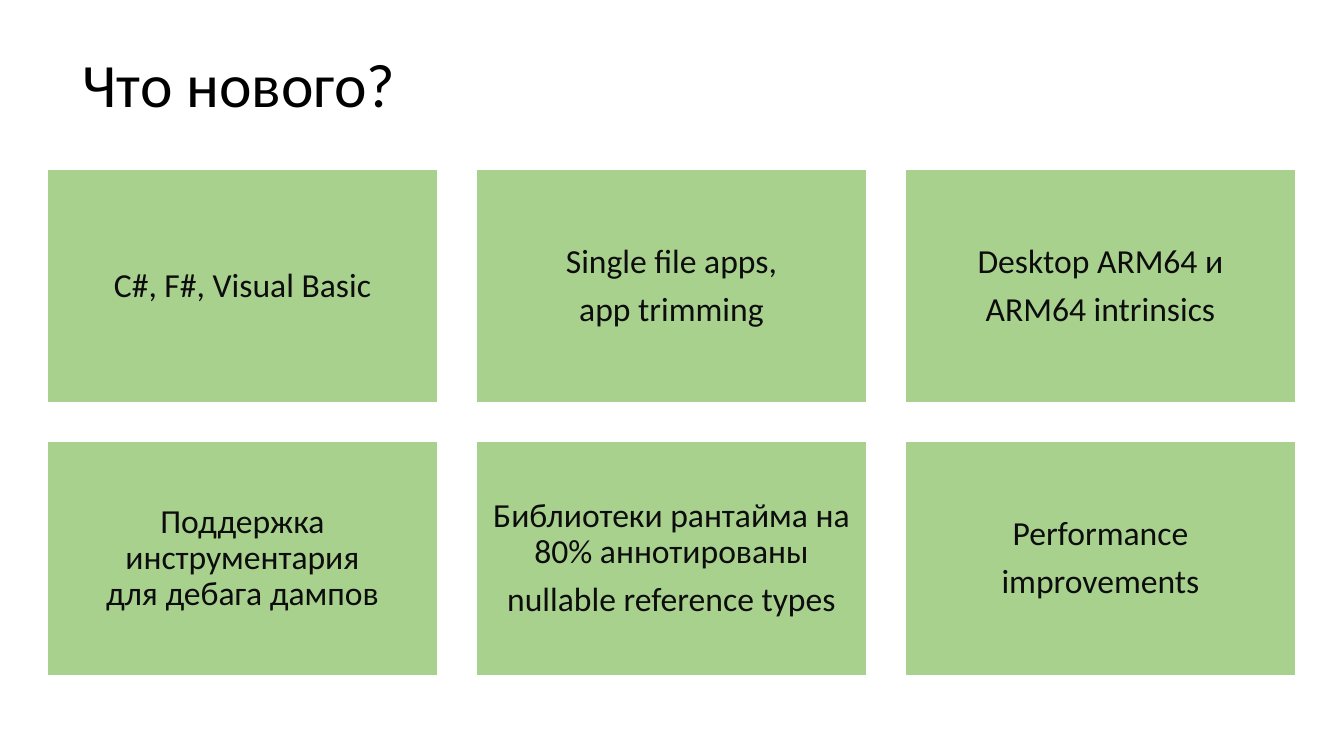
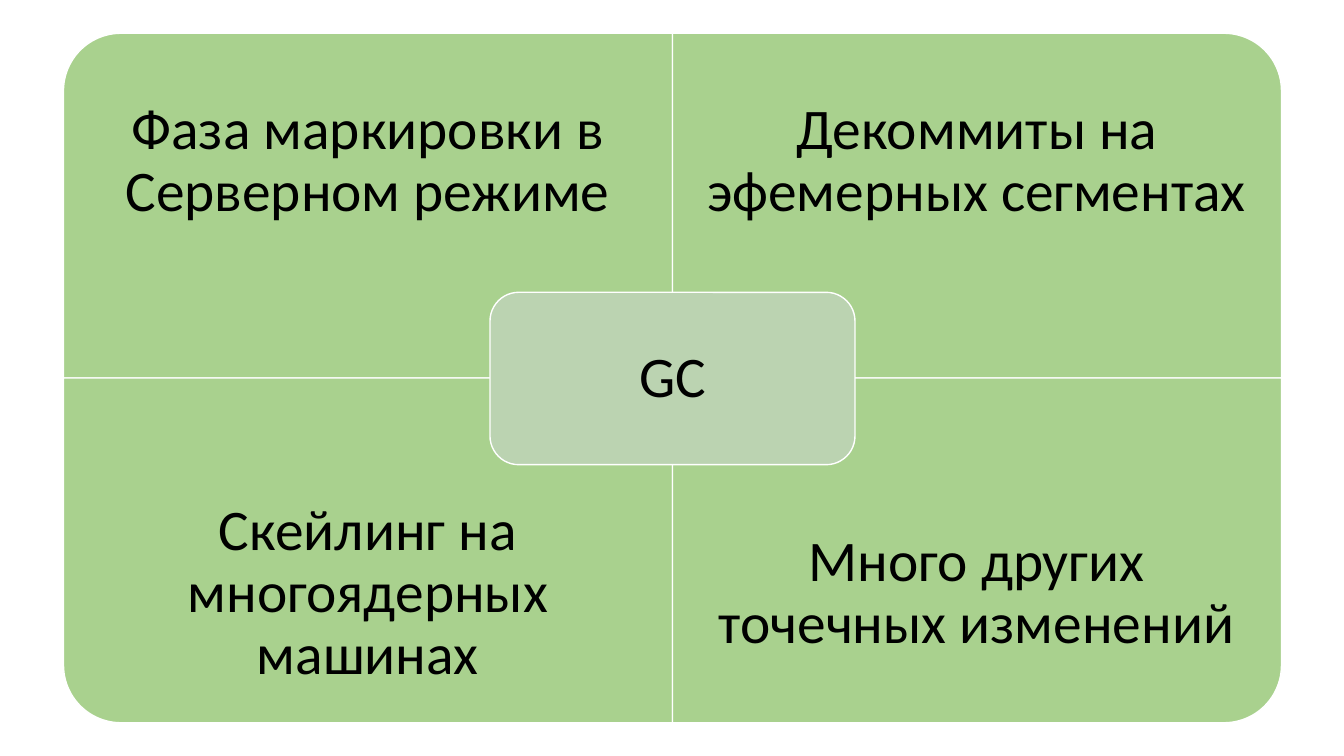
from dataclasses import dataclass

import pptx
import pptx.dml.color
import pptx.enum.shapes
import pptx.enum.text
import pptx.util

Inches = pptx.util.Inches
Pt = pptx.util.Pt
RGBColor = pptx.dml.color.RGBColor
SHAPE = pptx.enum.shapes.MSO_SHAPE
ALIGN = pptx.enum.text.PP_ALIGN

# Shared style
FONT = "Calibri"
BLACK = RGBColor(0x00, 0x00, 0x00)
DARK = RGBColor(0x0D, 0x0D, 0x0D)
WHITE = RGBColor(0xFF, 0xFF, 0xFF)
GREEN = RGBColor(0xA9, 0xD1, 0x8E)
SAGE = RGBColor(0xBB, 0xD3, 0xB1)
TITLE_ONLY, BLANK = 5, 6


@dataclass(frozen=True)
class Box:
    left: float
    top: float
    width: float
    height: float

    def emu(self) -> tuple:
        return tuple(Inches(v) for v in (self.left, self.top, self.width, self.height))


@dataclass(frozen=True)
class Quarter:
    text: str
    row: int
    col: int
    rotation: int


# A line feed starts a paragraph, a vertical tab breaks a line
CARDS = [
    "С#, F#, Visual Basic",
    "Single file apps,\napp trimming",
    "Desktop ARM64 и\nARM64 intrinsics",
    "Поддержка инструментария\vдля дебага дампов",
    "Библиотеки рантайма на 80% аннотированы\nnullable reference types",
    "Performance\nimprovements",
]
CARD_COLS = 3
CARD = Box(0.47, 1.68, 3.87, 2.32)
CARD_STEP_X, CARD_STEP_Y = 4.255, 2.7

QUARTERS = [
    Quarter("Фаза маркировки в Серверном режиме", 0, 0, 270),
    Quarter("Декоммиты на эфемерных сегментах", 0, 1, 0),
    Quarter("Скейлинг на многоядерных машинах", 1, 0, 180),
    Quarter("Много других точечных изменений", 1, 1, 90),
]
QUARTER = Box(0.63, 0.33, 6.04, 3.42)
QUARTER_TEXT_HEIGHT = 2.56
HUB = Box(4.86, 2.9, 3.62, 1.71)


def write(sp, text: str, *, size: float, color: RGBColor = BLACK,
          align=ALIGN.CENTER, inset: float = 0.1, after: float = 0.35) -> None:
    """Fill a shape with text; after is a share of the font size."""
    tf = sp.text_frame
    tf.word_wrap = True
    tf.auto_size = pptx.enum.text.MSO_AUTO_SIZE.NONE
    tf.vertical_anchor = pptx.enum.text.MSO_ANCHOR.MIDDLE
    tf.margin_left = tf.margin_right = Inches(inset)
    tf.margin_top = tf.margin_bottom = Inches(inset)
    tf.text = text
    for p in tf.paragraphs:
        p.alignment = align
        p.line_spacing = 0.9
        p.space_before = Pt(0)
        p.space_after = Pt(size * after)
        for r in p.runs:
            r.font.name = FONT
            r.font.size = Pt(size)
            r.font.color.rgb = color


def add_panel(s, kind, box: Box, fill: RGBColor = GREEN):
    """Add a filled shape with the thin white outline."""
    sp = s.shapes.add_shape(kind, *box.emu())
    sp.shadow.inherit = False
    sp.fill.solid()
    sp.fill.fore_color.rgb = fill
    sp.line.color.rgb = WHITE
    sp.line.width = Pt(1)
    return sp


def add_quarter(s, q: Quarter) -> None:
    """Add one quarter, its rounded corner turned outwards."""
    w, h = QUARTER.width, QUARTER.height
    left, top = QUARTER.left + q.col * w, QUARTER.top + q.row * h
    box = Box(left, top, w, h)
    if q.rotation % 180:
        box = Box(left + (w - h) / 2, top + (h - w) / 2, h, w)
    add_panel(s, SHAPE.ROUND_1_RECTANGLE, box).rotation = q.rotation

    # The text keeps to the outer part, clear of the hub
    text_top = top + q.row * (h - QUARTER_TEXT_HEIGHT)
    tb = s.shapes.add_textbox(*Box(left, text_top, w, QUARTER_TEXT_HEIGHT).emu())
    write(tb, q.text, size=41, inset=0.32)


def build_news(prs) -> None:
    s = prs.slides.add_slide(prs.slide_layouts[TITLE_ONLY])
    title = s.shapes.title
    title.left, title.top, title.width, title.height = Box(0.72, 0.4, 11.5, 0.94).emu()
    write(title, "Что нового?", size=44, align=ALIGN.LEFT, after=0)

    # Grid of cards
    for i, text in enumerate(CARDS):
        row, col = divmod(i, CARD_COLS)
        box = Box(CARD.left + col * CARD_STEP_X, CARD.top + row * CARD_STEP_Y,
                  CARD.width, CARD.height)
        write(add_panel(s, SHAPE.RECTANGLE, box), text, size=24, color=DARK)


def build_gc(prs) -> None:
    s = prs.slides.add_slide(prs.slide_layouts[BLANK])
    for q in QUARTERS:
        add_quarter(s, q)

    # Hub over the centre
    hub = add_panel(s, SHAPE.ROUNDED_RECTANGLE, HUB, SAGE)
    write(hub, "GC", size=41, inset=0.17)


def main() -> None:
    prs = pptx.Presentation()
    prs.slide_width, prs.slide_height = Inches(13.33), Inches(7.5)
    build_news(prs)
    build_gc(prs)
    prs.save("out.pptx")


if __name__ == "__main__":
    main()
